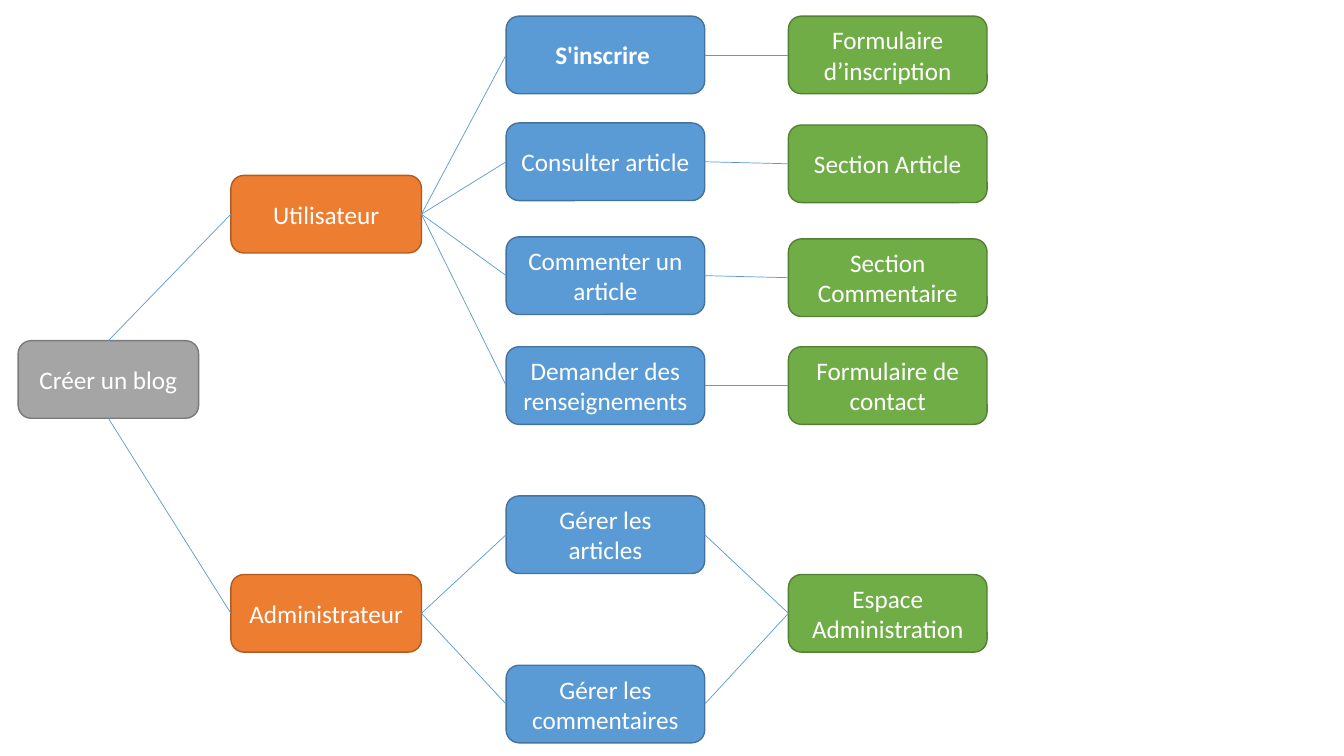
from lxml import etree
from pptx import Presentation
from pptx.dml.color import RGBColor
from pptx.enum import shapes, text
from pptx.oxml import ns
from pptx.util import Inches, Pt

WHITE = RGBColor(0xFF, 0xFF, 0xFF)
LINK = RGBColor(0x5B, 0x9B, 0xD5)
GRAY = RGBColor(0xA5, 0xA5, 0xA5), RGBColor(0x7A, 0x7A, 0x7A)
ORANGE = RGBColor(0xED, 0x7D, 0x31), RGBColor(0xAF, 0x5C, 0x24)
BLUE = LINK, RGBColor(0x43, 0x73, 0x9E)
GREEN = RGBColor(0x70, 0xAD, 0x47), RGBColor(0x53, 0x80, 0x35)
TOP, LEFT, BOTTOM, RIGHT = range(4)

ROOT = 0.18, 1.79, GRAY
ACTOR = 2.29, 1.89, ORANGE
ACTION = 5.02, 1.97, BLUE
PAGE = 7.82, 1.97, GREEN
HEIGHT = 0.77

NODES = [
    ("Créer un blog", ROOT, 3.38),
    ("Utilisateur", ACTOR, 1.74),
    ("Administrateur", ACTOR, 5.7),
    ("S'inscrire\u00a0", ACTION, 0.16),
    ("Consulter article", ACTION, 1.22),
    ("Commenter un article", ACTION, 2.35),
    ("Demander des renseignements", ACTION, 3.44),
    ("Gérer les articles", ACTION, 4.92),
    ("Gérer les commentaires", ACTION, 6.6),
    ("Formulaire d’inscription", PAGE, 0.16),
    ("Section Article", PAGE, 1.24),
    ("Section Commentaire", PAGE, 2.37),
    ("Formulaire de contact", PAGE, 3.44),
    ("Espace Administration", PAGE, 5.7),
]


def add_node(slide, label, column, top):
    """Add one rounded box of the tree in the style of its column."""
    left, width, (fill, edge) = column
    box = slide.shapes.add_shape(
        shapes.MSO_SHAPE.ROUNDED_RECTANGLE,
        Inches(left), Inches(top), Inches(width), Inches(HEIGHT))
    box.shadow.inherit = False
    box.fill.solid()
    box.fill.fore_color.rgb = fill
    box.line.color.rgb = edge
    box.line.width = Pt(1)
    frame = box.text_frame
    frame.word_wrap = True
    frame.vertical_anchor = text.MSO_ANCHOR.MIDDLE
    para = frame.paragraphs[0]
    para.alignment = text.PP_ALIGN.CENTER
    run = para.add_run()
    run.text = label
    run.font.name = "Calibri"
    run.font.size = Pt(18)
    run.font.color.rgb = WHITE
    return run, box


def add_link(slide, child, parent, side=RIGHT):
    """Join the left of a child to one side of its parent."""
    link = slide.shapes.add_connector(
        shapes.MSO_CONNECTOR.STRAIGHT, 0, 0, 0, 0)
    link.begin_connect(child, LEFT)
    link.end_connect(parent, side)
    link.line.color.rgb = LINK
    link.line.width = Pt(0.5)
    etree.SubElement(link._element.spPr, ns.qn("a:effectLst"))


def main():
    """Build the tree of blog features and save it."""
    deck = Presentation()
    deck.slide_width, deck.slide_height = Inches(13.33), Inches(7.5)
    slide = deck.slides.add_slide(deck.slide_layouts[6])
    pairs = [add_node(slide, *node) for node in NODES]
    pairs[3][0].font.bold = True
    root, user, admin, *rest = [box for _, box in pairs]
    actions, pages = rest[:6], rest[6:]
    add_link(slide, user, root, TOP)
    add_link(slide, admin, root, BOTTOM)
    actors = [user] * 4 + [admin] * 2
    goals = pages + pages[-1:]
    for actor, action, page in zip(actors, actions, goals):
        add_link(slide, action, actor)
        add_link(slide, page, action)
    deck.save("out.pptx")


main()
